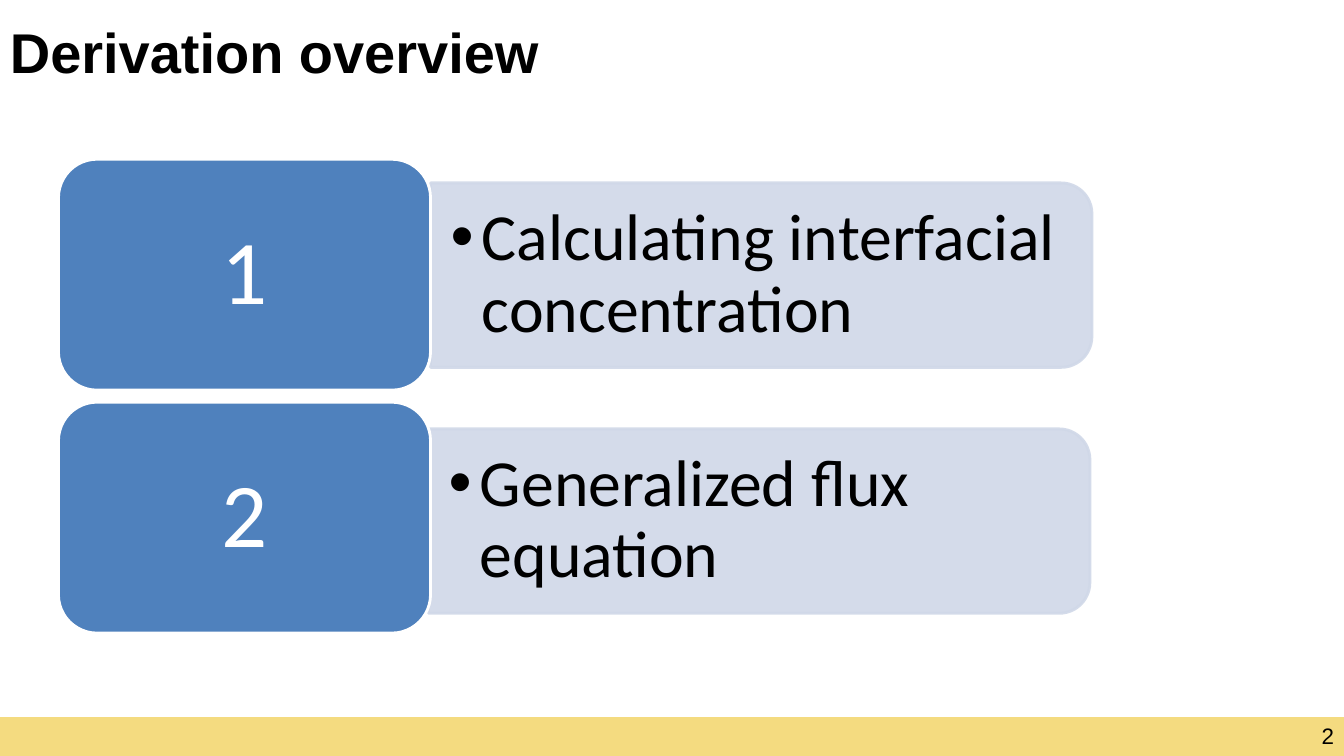
from lxml import etree
from pptx import Presentation
from pptx import util as u
from pptx.dml import color
from pptx.enum import shapes, text
from pptx.oxml import ns

KIND = shapes.MSO_SHAPE
ALIGN = text.PP_ALIGN


def paint(hue):
    """Turn a hex string into a colour."""
    return color.RGBColor.from_string(hue)


def fade(fill, share):
    """Set the opacity of a solid fill, in percent."""
    for tint in fill._xPr.iter(ns.qn("a:srgbClr")):
        etree.SubElement(tint, ns.qn("a:alpha")).set("val", str(share * 1000))


def add_shape(slide, kind, box, hue, edge, width):
    """Add a filled preset shape without a shadow."""
    shape = slide.shapes.add_shape(kind, *map(u.Inches, box))
    shape.shadow.inherit = False
    shape.fill.solid()
    shape.fill.fore_color.rgb = paint(hue)
    shape.line.color.rgb = paint(edge)
    shape.line.width = u.Pt(width)
    return shape


def write(shape, words, size, face, hue="000000", align=ALIGN.LEFT,
          pad=(0.1, 0.05), bold=False):
    """Write one vertically centred paragraph into a shape."""
    frame = shape.text_frame
    frame.word_wrap = True
    frame.vertical_anchor = text.MSO_ANCHOR.MIDDLE
    frame.margin_left = frame.margin_right = u.Inches(pad[0])
    frame.margin_top = frame.margin_bottom = u.Inches(pad[1])
    para = frame.paragraphs[0]
    para.alignment = align
    run = para.add_run()
    run.text = words
    run.font.size = u.Pt(size)
    run.font.name = face
    run.font.bold = bold
    run.font.color.rgb = paint(hue)
    return para


def add_text(slide, box, *args, **style):
    """Add a text box holding one paragraph."""
    label = slide.shapes.add_textbox(*map(u.Inches, box))
    return write(label, *args, **style)


def add_bullet(para, indent):
    """Give a paragraph a round bullet with a hanging indent."""
    props = para._p.get_or_add_pPr()
    props.set("marL", str(u.Inches(indent)))
    props.set("indent", str(-u.Inches(indent)))
    etree.SubElement(props, ns.qn("a:buFont")).set("typeface", "Arial")
    etree.SubElement(props, ns.qn("a:buChar")).set("char", "•")


def add_step(slide, mark, words, left, top, mid):
    """Add a numbered tile with its bar of text."""
    long, high = 6.56, 1.83
    bar = add_shape(slide, KIND.ROUND_2_SAME_RECTANGLE,
                    (left + (long - high) / 2, mid - long / 2, high, long),
                    "D0D8E8", "D0D8E8", 2)
    bar.rotation = 90
    fade(bar.fill, 90)
    fade(bar.line.fill, 90)
    para = add_text(slide, (left, mid - 0.83, 6.47, 1.66), words, 47,
                    "Calibri", pad=(0.2, 0.1))
    add_bullet(para, 0.31)
    para.line_spacing = 0.9
    tile = add_shape(slide, KIND.ROUNDED_RECTANGLE, (0.58, top, 3.69, 2.29),
                     "4F81BD", "FFFFFF", 2)
    para = write(tile, mark, 65, "Calibri", "FFFFFF", ALIGN.CENTER,
                 (0.27, 0.14))
    para.line_spacing = 0.9


def main():
    """Build and save the slide."""
    deck = Presentation()
    deck.slide_width = u.Inches(13.33)
    deck.slide_height = u.Inches(7.5)
    slide = deck.slides.add_slide(deck.slide_layouts[6])
    add_shape(slide, KIND.RECTANGLE, (0, 7.12, 13.33, 0.37),
              "F4DB80", "F4DB80", 1)
    add_text(slide, (12.43, 7.15, 0.9, 0.3), "2", 16, "Arial",
             align=ALIGN.RIGHT)
    add_text(slide, (0, 0.1, 13.12, 0.82), "Derivation overview", 40,
             "Arial", bold=True)
    add_step(slide, "1", "Calculating interfacial concentration",
             4.27, 1.58, 2.73)
    add_step(slide, "2", "Generalized flux equation", 4.25, 3.99, 5.17)
    deck.save("out.pptx")


if __name__ == "__main__":
    main()
